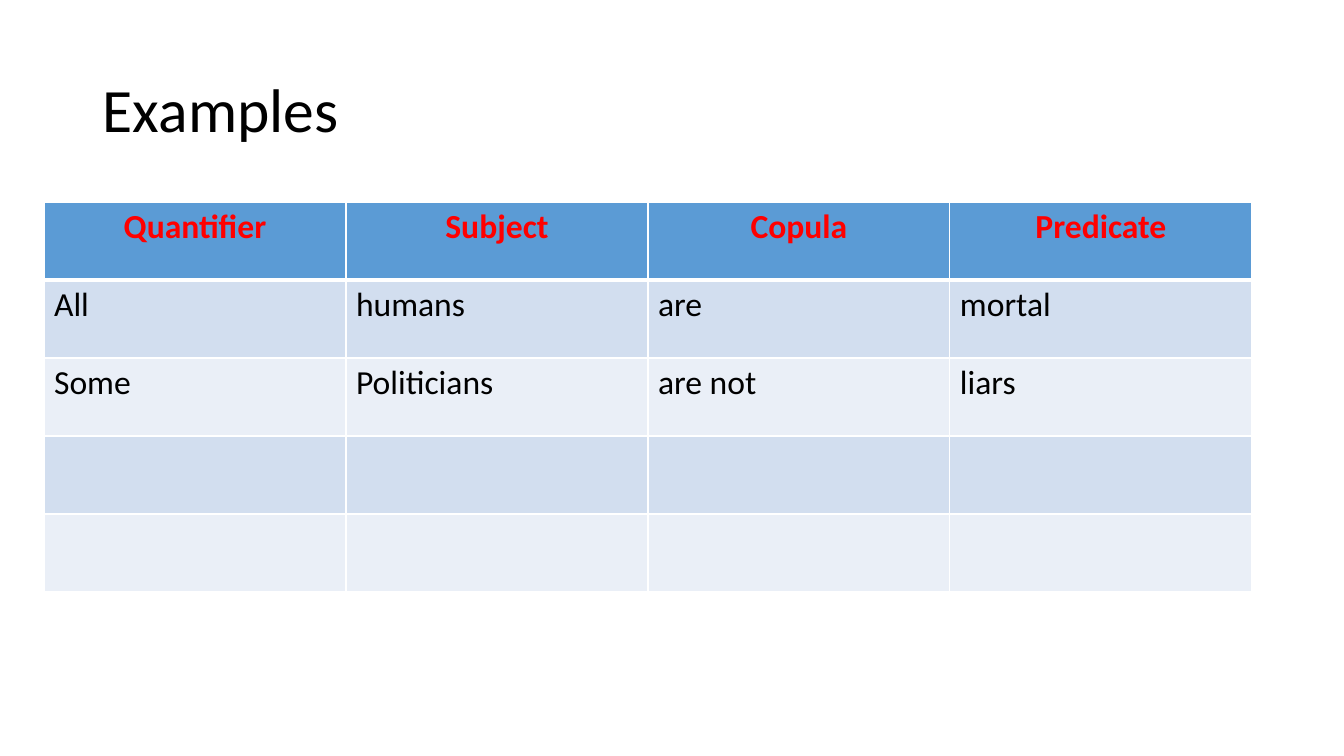
from lxml import etree
from pptx import Presentation
from pptx.dml.color import RGBColor
from pptx.enum.text import MSO_ANCHOR, PP_ALIGN
from pptx.oxml.ns import qn
from pptx.util import Pt

MIDDLE = MSO_ANCHOR.MIDDLE
CENTER, LEFT = PP_ALIGN.CENTER, PP_ALIGN.LEFT
FONT = "Calibri"
BLACK, WHITE, RED = "000000", "FFFFFF", "FF0000"
BLUE, BANDS = "5B9BD5", ("D2DEEF", "EAEFF7")

TITLE = "Examples"
ROWS = [
    ("Quantifier", "Subject", "Copula", "Predicate"),
    ("All", "humans", "are", "mortal"),
    ("Some", "Politicians", "are not", "liars"),
    ("", "", "", ""),
    ("", "", "", ""),
]
SLIDE = (1344, 756)
TITLE_BOX = (93, 40, 1159, 146)
TABLE_POS = (44, 202)
CELL_W, CELL_H = 302, 78
SCALE = 914400 / 100.8


def px(*sizes):
    return [round(size * SCALE) for size in sizes]


def color(code):
    return RGBColor.from_string(code)


def write(para, text, size, code, bold=False):
    run = para.add_run()
    run.text = text
    font = run.font
    font.name, font.size, font.bold = FONT, Pt(size), bold
    font.color.rgb = color(code)


def border(cell, side, width):
    line = etree.SubElement(cell._tc.get_or_add_tcPr(), qn("a:ln" + side), w=str(Pt(width)))
    fill = etree.SubElement(line, qn("a:solidFill"))
    etree.SubElement(fill, qn("a:srgbClr"), val=WHITE)


def add_title(slide):
    frame = slide.shapes.add_textbox(*px(*TITLE_BOX)).text_frame
    frame.word_wrap = True
    frame.vertical_anchor = MIDDLE
    para = frame.paragraphs[0]
    para.line_spacing = 0.9
    write(para, TITLE, 44, BLACK)


def add_grid(slide):
    count, cols = len(ROWS), len(ROWS[0])
    size = (cols * CELL_W, count * CELL_H)
    table = slide.shapes.add_table(count, cols, *px(*TABLE_POS, *size)).table
    for row, words in enumerate(ROWS):
        head = row == 0
        for col, word in enumerate(words):
            cell = table.cell(row, col)
            for side in "LRTB":
                thick = (row, side) in ((0, "B"), (1, "T"))
                border(cell, side, 3 if thick else 1)
            cell.fill.solid()
            cell.fill.fore_color.rgb = color(BLUE if head else BANDS[(row - 1) % 2])
            para = cell.text_frame.paragraphs[0]
            para.alignment = CENTER if head else LEFT
            if word:
                write(para, word, 24, RED if head else BLACK, head)


def main():
    deck = Presentation()
    deck.slide_width, deck.slide_height = px(*SLIDE)
    slide = deck.slides.add_slide(deck.slide_layouts[6])
    add_title(slide)
    add_grid(slide)
    deck.save("out.pptx")


if __name__ == "__main__":
    main()
